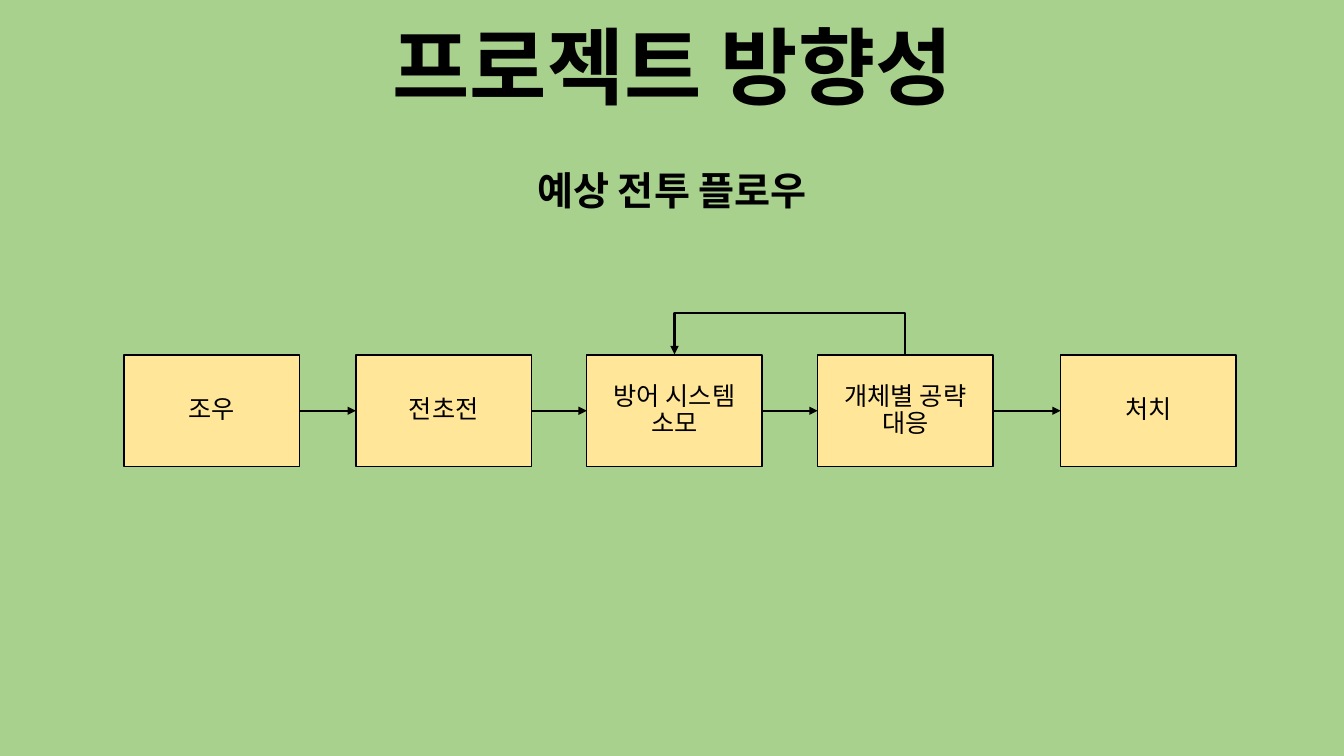
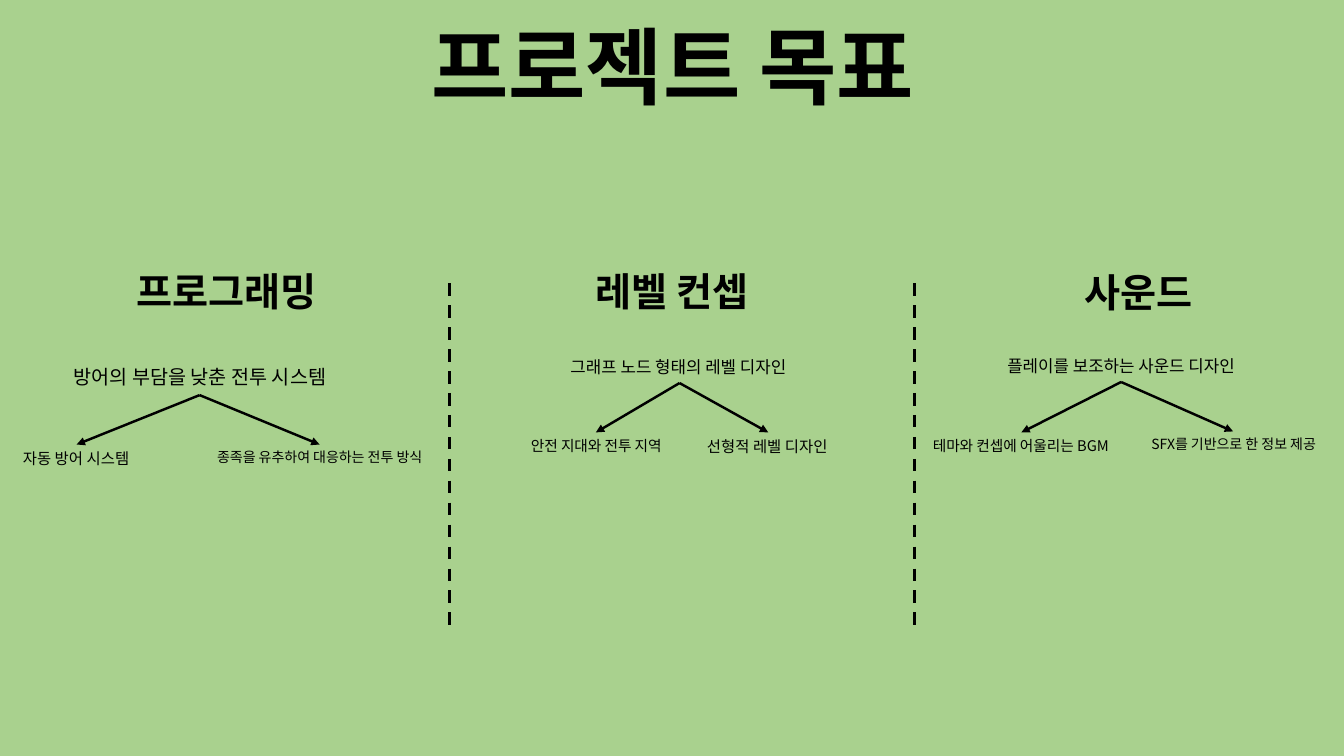
from pptx import Presentation
from pptx.dml.color import RGBColor
from pptx.enum.dml import MSO_LINE
from pptx.enum.shapes import MSO_CONNECTOR, MSO_SHAPE
from pptx.enum.text import MSO_ANCHOR, PP_ALIGN
from pptx.oxml.ns import qn
from pptx.oxml.xmlchemy import OxmlElement
from pptx.util import Inches, Pt

STRAIGHT, ELBOW = MSO_CONNECTOR.STRAIGHT, MSO_CONNECTOR.ELBOW
RECTANGLE = MSO_SHAPE.RECTANGLE
DASH = MSO_LINE.DASH
CENTER, MIDDLE = PP_ALIGN.CENTER, MSO_ANCHOR.MIDDLE
TOP_SITE, LEFT_SITE, RIGHT_SITE = 0, 1, 3  # connection sites of a rectangle


def color(value):
    return RGBColor.from_string(value)


class Deck:
    FONT = "Noto Sans CJK KR"
    GREEN, YELLOW, BLACK = "A9D18E", "FFE699", "000000"
    LINE_SPACING = 0.9

    def __init__(self):
        self.prs = Presentation()
        self.prs.slide_width, self.prs.slide_height = Inches(13.33), Inches(7.5)
        self.slide = None

    def new_slide(self, title):
        self.slide = self.prs.slides.add_slide(self.prs.slide_layouts[6])
        background = self.slide.background.fill
        background.solid()
        background.fore_color.rgb = color(self.GREEN)
        self.text(title, (1.91, 0.15, 9.52, 1.11), 60, bold=True)

    def set_lines(self, frame, lines, size, bold=False):
        frame.word_wrap = True
        frame.vertical_anchor = MIDDLE
        frame.margin_top = frame.margin_bottom = 0
        for i, line in enumerate(lines):
            paragraph = frame.add_paragraph() if i else frame.paragraphs[0]
            paragraph.alignment = CENTER
            paragraph.line_spacing = self.LINE_SPACING
            run = paragraph.add_run()
            run.text = line
            font = run.font
            font.name, font.size, font.bold = self.FONT, Pt(size), bold
            font.color.rgb = color(self.BLACK)
            east_asian = OxmlElement("a:ea")
            east_asian.set("typeface", self.FONT)
            run._r.get_or_add_rPr().find(qn("a:latin")).addnext(east_asian)

    def text(self, words, place, size, bold=False):
        box = self.slide.shapes.add_textbox(*map(Inches, place))
        self.set_lines(box.text_frame, [words], size, bold)

    def heading(self, words, place):
        self.text(words, place, 28, bold=True)

    def step(self, lines, place):
        box = self.slide.shapes.add_shape(RECTANGLE, *map(Inches, place))
        box.shadow.inherit = False
        box.fill.solid()
        box.fill.fore_color.rgb = color(self.YELLOW)
        box.line.color.rgb = color(self.BLACK)
        box.line.width = Pt(1)
        self.set_lines(box.text_frame, lines, 18)
        return box

    def line(self, start, end, width, arrow=True, dash=None, kind=STRAIGHT):
        connector = self.slide.shapes.add_connector(
            kind, *map(Inches, (*start, *end)))
        connector.line.color.rgb = color(self.BLACK)
        connector.line.width = Pt(width)
        if dash:
            connector.line.dash_style = dash
        properties = connector._element.spPr
        if arrow:
            tail = OxmlElement("a:tailEnd")
            tail.set("type", "triangle")
            properties.find(qn("a:ln")).append(tail)
        properties.append(OxmlElement("a:effectLst"))
        return connector

    def join(self, source, target):
        connector = self.line((0, 0), (1, 1), 1.5)
        connector.begin_connect(source, RIGHT_SITE)
        connector.end_connect(target, LEFT_SITE)

    def loop_back(self, source, target, rise):
        """Elbow arrow that leaves the top of source and enters the top of target."""
        connector = self.line((0, 0), (1, 1), 1.5, kind=ELBOW)
        connector.begin_connect(source, TOP_SITE)
        connector.end_connect(target, TOP_SITE)
        # A quarter turn makes the elbow's thin width run upwards
        thin, span = Inches(0.01), source.left - target.left
        middle = (source.left + target.left + source.width) // 2
        connector.left, connector.top = middle - thin // 2, source.top - span // 2
        connector.width, connector.height = thin, span
        properties = connector._element.spPr
        frame = properties.find(qn("a:xfrm"))
        frame.attrib.pop("flipH", None)
        frame.set("rot", "16200000")
        frame.set("flipV", "1")
        geometry = properties.find(qn("a:prstGeom"))
        adjustments = geometry.find(qn("a:avLst"))
        if adjustments is None:
            adjustments = OxmlElement("a:avLst")
            geometry.append(adjustments)
        guide = OxmlElement("a:gd")
        guide.set("name", "adj1")
        guide.set("fmla", f"val {round(Inches(rise) / thin * 100000)}")
        adjustments.append(guide)


def battle_flow(deck):
    deck.new_slide("프로젝트 방향성")
    deck.heading("예상 전투 플로우", (5.04, 1.63, 3.25, 0.57))

    # Steps, left to right; the last one stands a little further off
    flow = [
        (1.23, ["조우"]),
        (3.53, ["전초전"]),
        (5.82, ["방어 시스템", "소모"]),
        (8.11, ["개체별 공략 대응"]),
        (10.52, ["처치"]),
    ]
    steps = [deck.step(lines, (left, 3.52, 1.74, 1.11)) for left, lines in flow]
    for source, target in zip(steps, steps[1:]):
        deck.join(source, target)
    deck.loop_back(steps[3], steps[2], 0.43)


def goals(deck):
    deck.new_slide("프로젝트 목표")

    # Each goal: heading, topic with the fork below it, then two branches;
    # a topic or branch is words, place, size, and arrow point
    columns = [
        ("프로그래밍", (0.87, 2.63),
         ("방어의 부담을 낮춘 전투 시스템", (0.35, 3.58, 3.27, 0.34), 14, (1.98, 3.92)),
         [("자동 방어 시스템", (0.03, 4.41, 1.45, 0.29), 11, (0.76, 4.41)),
          ("종족을 유추하여 대응하는 전투 방식", (1.47, 4.41, 3.4, 0.27), 10, (3.17, 4.41))]),
        ("레벨 컨셉", (5.29, 2.63),
         ("그래프 노드 형태의 레벨 디자인", (5.18, 3.5, 3.1, 0.3), 12, (6.74, 3.8)),
         [("안전 지대와 전투 지역", (4.45, 4.29, 2.93, 0.29), 10.5, (5.91, 4.29)),
          ("선형적 레벨 디자인", (6.3, 4.29, 2.62, 0.29), 11, (7.62, 4.29))]),
        ("사운드", (9.91, 2.64),
         ("플레이를 보조하는 사운드 디자인", (9.57, 3.49, 3.1, 0.3), 12, (11.12, 3.79)),
         [("테마와 컨셉에 어울리는 BGM", (8.66, 4.29, 2.93, 0.29), 10.5, (10.13, 4.29)),
          ("SFX를 기반으로 한 정보 제공", (11.03, 4.28, 2.41, 0.27), 10, (12.23, 4.28))]),
    ]
    for heading, corner, (topic, place, size, fork), branches in columns:
        deck.heading(heading, (*corner, 2.76, 0.57))
        deck.text(topic, place, size)
        for words, branch_place, branch_size, tip in branches:
            deck.line(fork, tip, 1.75)
            deck.text(words, branch_place, branch_size)

    # Dividers between the goals
    for x in (4.46, 9.07):
        deck.line((x, 2.81), (x, 6.29), 2.25, arrow=False, dash=DASH)


def main():
    deck = Deck()
    battle_flow(deck)
    goals(deck)
    deck.prs.save("out.pptx")


if __name__ == "__main__":
    main()
